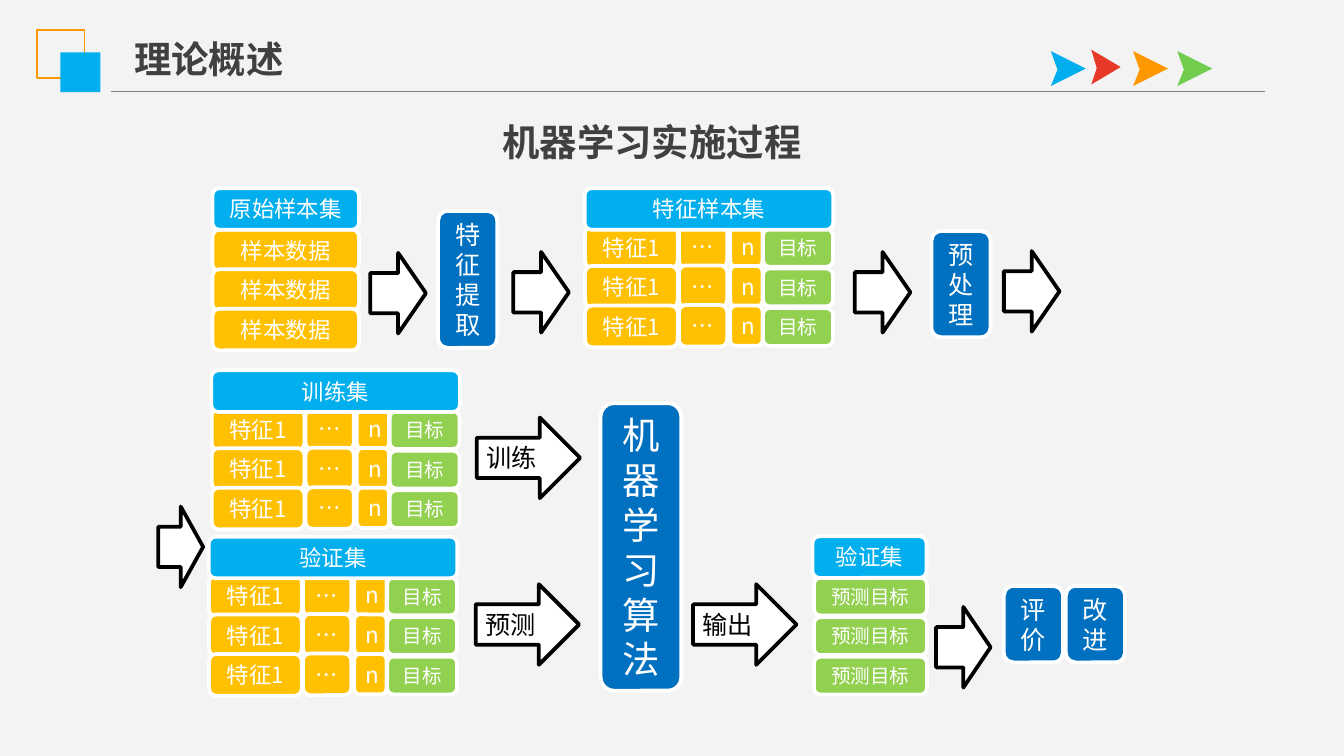
import pptx
import pptx.util
import pptx.dml.color
import pptx.enum.shapes
import pptx.enum.text
import pptx.oxml.ns
import lxml.etree

Pt = pptx.util.Pt
Kind = pptx.enum.shapes.MSO_SHAPE
Align = pptx.enum.text.PP_ALIGN
Anchor = pptx.enum.text.MSO_ANCHOR
NOTO, ARIAL = "Noto Sans CJK SC", "Arial"

HUES = {
    "page": "F3F3F3", "rule": "808080", "ink": "404040", "black": "000000",
    "white": "FFFFFF", "sky": "01AEEE", "navy": "0070C0", "gold": "FFC000",
    "lime": "92D050", "orange": "FE9800", "red": "E83828", "green": "72CD4F",
}

# text, left, top, width, height, font
TITLES = [
    ("理论概述", 64.8, 15.8, 95, 31.7, NOTO),
    ("机器学习实施过程", 262, 59.8, 176.4, 31.7, ARIAL),
]

# colour, left, top, width
DARTS = [
    ("sky", 563, 27.4, 18.7), ("red", 584.6, 26.6, 15.8),
    ("orange", 607, 27.4, 18.7), ("green", 630.7, 27.4, 18.7),
]

# text, left, top, width, height, size
STEPS = [
    ("特征提取", 234.7, 113, 31.7, 73.4, 13.5),
    ("预处理", 499, 123.8, 31.7, 56.9, 13.5),
    ("机器学习算法", 321.8, 216, 43.2, 154, 20),
    ("评价", 537.8, 313.9, 31.7, 41, 13.5),
    ("改进", 571, 313.9, 31.7, 41, 13.5),
]

# text, left, top, width
ARROWS = [
    ("", 198.4, 135.5, 29.8), ("", 275, 135, 29.8),
    ("", 457.9, 135, 29.8), ("", 537.8, 134.5, 29.8),
    ("", 84.8, 271.4, 24),
    ("训练", 255.4, 223.7, 55.4), ("预测", 254.9, 313, 55.4),
    ("输出", 371.3, 313, 55.4), ("", 501.5, 325.2, 29.2),
]

# text, left and top from the header, width, height, colour, size
FEATURES = [
    ("特征1", 0.2, 20.5, 49.7, 22.3, "gold", 12),
    ("…", 50.5, 20.2, 25.9, 22.3, "gold", 12),
    ("n", 78, 20.5, 17.3, 21.6, "gold", 12),
    ("目标", 95.6, 21.9, 37.4, 20.2, "lime", 10.5),
]
SAMPLES = [("样本数据", 0, 22.2, 78.5, 22.3, "gold", 12)]
RESULTS = [("预测目标", 0.9, 22.2, 60.5, 20.2, "lime", 10.5)]

# title, left, top, width, cells of a row
SETS = [
    ("原始样本集", 113.8, 100.8, 78.5, SAMPLES),
    ("特征样本集", 313.2, 100.8, 133.2, FEATURES),
    ("训练集", 113.2, 198.4, 133.2, FEATURES),
    ("验证集", 111.8, 287.5, 133.2, FEATURES),
    ("验证集", 435.2, 287.3, 61.2, RESULTS),
]
ROWS, PITCH, HEAD = 3, 21.2, 22.3


def color(name):
    return pptx.dml.color.RGBColor.from_string(HUES[name])


def write(frame, text, size, hue, font, align, bold=False):
    frame.vertical_anchor = Anchor.MIDDLE
    para = frame.paragraphs[0]
    para.alignment = align
    run = para.add_run()
    run.text = text
    run.font.size = Pt(size)
    run.font.bold = bold
    run.font.name = font
    run.font.color.rgb = color(hue)
    east = lxml.etree.SubElement(run.font._element, pptx.oxml.ns.qn("a:ea"))
    east.set("typeface", font)


def paint(shape, fill, line=None, weight=2):
    shape.shadow.inherit = False
    if fill:
        shape.fill.solid()
        shape.fill.fore_color.rgb = color(fill)
    else:
        shape.fill.background()
    if line:
        shape.line.color.rgb = color(line)
        shape.line.width = Pt(weight)
    else:
        shape.line.fill.background()


def add(kind, box, fill, line=None, weight=2):
    shape = shapes.add_shape(kind, *map(Pt, box))
    paint(shape, fill, line, weight)
    frame = shape.text_frame
    frame.word_wrap = True
    frame.margin_left = frame.margin_right = Pt(5.2)
    frame.margin_top = frame.margin_bottom = Pt(2.7)
    return shape


def tile(text, box, fill, size):
    shape = add(Kind.ROUNDED_RECTANGLE, box, fill, "white")
    write(shape.text_frame, text, size, "white", NOTO, Align.CENTER)


deck = pptx.Presentation()
deck.slide_width, deck.slide_height = Pt(720), Pt(405)
slide = deck.slides.add_slide(deck.slide_layouts[6])
slide.background.fill.solid()
slide.background.fill.fore_color.rgb = color("page")
shapes = slide.shapes

rule = shapes.add_connector(
    pptx.enum.shapes.MSO_CONNECTOR.STRAIGHT, Pt(59.5), Pt(49.2), Pt(677.7), Pt(49.2))
rule.line.color.rgb = color("rule")
rule.line.width = Pt(0.75)
lxml.etree.SubElement(rule._element.spPr, pptx.oxml.ns.qn("a:effectLst"))

add(Kind.RECTANGLE, (19.8, 16.3, 25.5, 25.5), None, "orange", 1)
add(Kind.RECTANGLE, (32.4, 28, 21.4, 21.4), "sky")

for hue, left, top, width in DARTS:
    tall = 18.7
    pen = shapes.build_freeform(Pt(left), Pt(top + tall))
    pen.add_line_segments([
        (Pt(left + width * 0.19), Pt(top + tall * 0.53)),
        (Pt(left), Pt(top)),
        (Pt(left + width), Pt(top + tall / 2)),
    ], close=True)
    paint(pen.convert_to_shape(), hue)

for text, left, top, width, height, font in TITLES:
    area = shapes.add_textbox(Pt(left), Pt(top), Pt(width), Pt(height))
    area.text_frame.word_wrap = False
    write(area.text_frame, text, 20, "ink", font, Align.LEFT, True)

for title, left, top, width, cells in SETS:
    for row in range(ROWS):
        for text, dx, dy, wide, tall, hue, size in cells:
            box = (left + dx, top + dy + row * PITCH, wide, tall)
            tile(text, box, hue, size)
    tile(title, (left, top, width, HEAD), "sky", 12)

for text, *box, size in STEPS:
    tile(text, box, "navy", size)

for text, left, top, width in ARROWS:
    arrow = add(Kind.RIGHT_ARROW, (left, top, width, 43.2), "white", "black")
    if text:
        write(arrow.text_frame, text, 13.5, "black", ARIAL, Align.LEFT)

deck.save("out.pptx")
